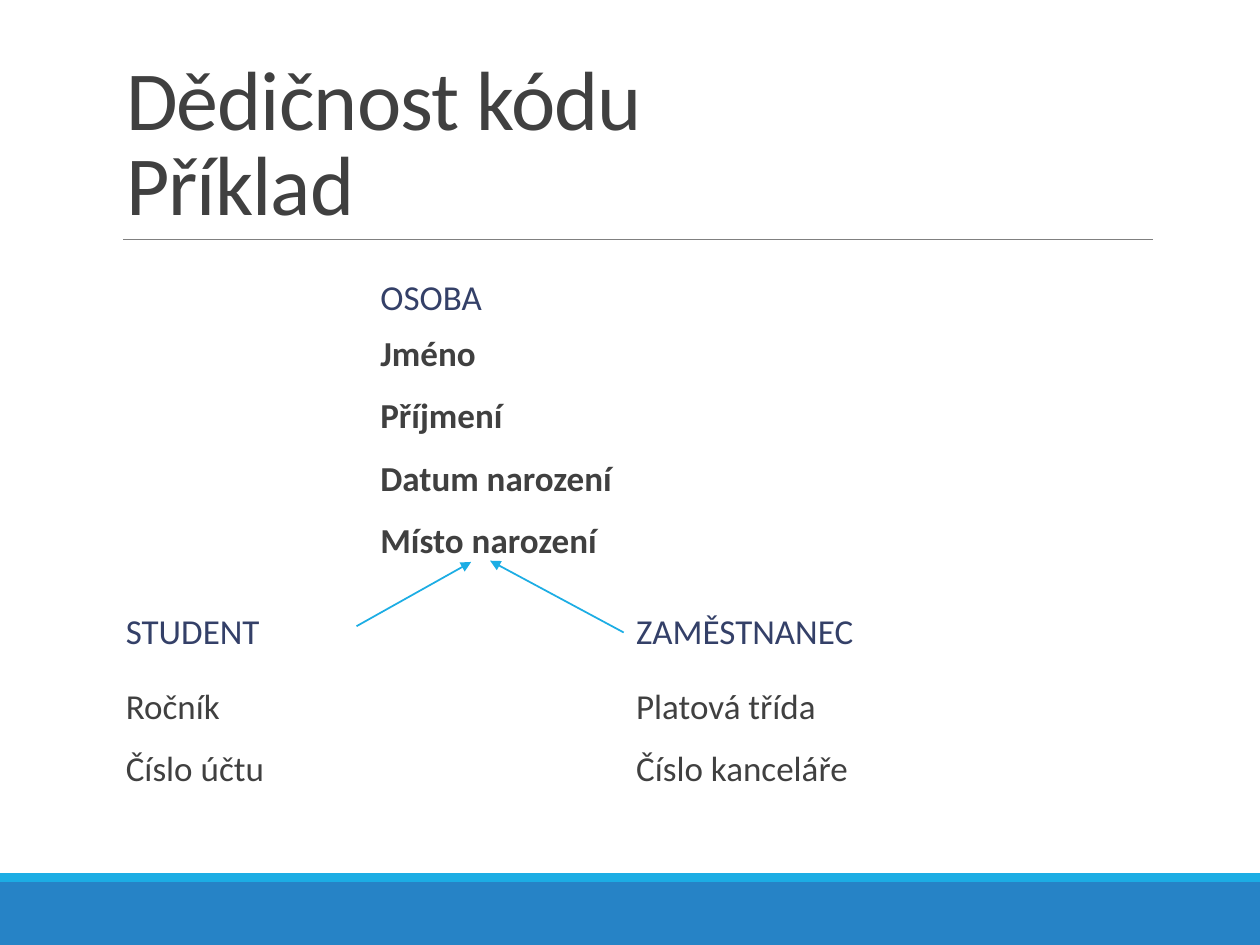
"""Build the slide on code inheritance: a person class and its two subclasses."""
from pptx import Presentation
from pptx.dml.color import RGBColor
from pptx.enum.shapes import MSO_CONNECTOR as Conn, MSO_SHAPE as Shape
from pptx.enum.text import MSO_ANCHOR as Anchor, MSO_AUTO_SIZE as Auto, PP_ALIGN as Align
from pptx.util import Inches, Pt
from lxml import etree

NS = "{http://schemas.openxmlformats.org/drawingml/2006/main}"
rgb = RGBColor.from_string


def style(para, size, color, bold=False):
    font = para.font
    font.name, font.size, font.bold = "Calibri", Pt(size), bold
    font.color.rgb = rgb(color)


def link(start, end, color, width):
    line = slide.shapes.add_connector(Conn.STRAIGHT, *map(Inches, start + end))
    line.line.color.rgb = rgb(color)
    line.line.width = Pt(width)
    etree.SubElement(line._element.spPr, NS + "effectLst")
    return line


deck = Presentation()
deck.slide_width, deck.slide_height = Inches(10), Inches(7.5)
slide = deck.slides.add_slide(deck.slide_layouts[5])

for top, height, color in [(7, 0.5, "2683C6"), (6.93, 0.07, "1CADE4")]:
    band = slide.shapes.add_shape(
        Shape.RECTANGLE, 0, Inches(top), Inches(10), Inches(height))
    band.shadow.inherit = False
    band.fill.solid()
    band.fill.fore_color.rgb = rgb(color)
    band.line.fill.background()

link((0.98, 1.9), (9.15, 1.9), "808080", 0.5)

title = slide.shapes.title
title.left, title.top = Inches(0.9), Inches(0.31)
title.width, title.height = Inches(8.25), Inches(1.59)
frame = title.text_frame
frame.text = "Dědičnost kódu\vPříklad"
frame.auto_size, frame.vertical_anchor = Auto.NONE, Anchor.BOTTOM
para = frame.paragraphs[0]
para.alignment, para.line_spacing = Align.LEFT, 0.85
style(para, 48, "404040")
para.font._element.set("spc", "-50")

groups = [
    (2.92, 1.97, 2.62, 2.18, True, "OSOBA",
     ["Jméno", "Příjmení", "Datum narození", "Místo narození"]),
    (0.9, 4.62, 5.42, 0.98, False, "STUDENT", ["Ročník", "Číslo účtu"]),
    (4.95, 4.62, 5.42, 0.95, False, "ZAMĚSTNANEC",
     ["Platová třída", "Číslo kanceláře"]),
]
for left, head, body, height, bold, name, fields in groups:
    parts = [(head, 0.81, Anchor.MIDDLE, [name], "344068", False),
             (body, height, Anchor.TOP, fields, "404040", bold)]
    for top, tall, anchor, lines, color, heavy in parts:
        box = slide.shapes.add_textbox(
            Inches(left), Inches(top), Inches(4.05), Inches(tall))
        frame = box.text_frame
        frame.word_wrap, frame.vertical_anchor = True, anchor
        frame.text = "\n".join(lines)
        for i, para in enumerate(frame.paragraphs):
            para.line_spacing = 0.9
            para.space_before, para.space_after = Pt(12 if i else 0), Pt(2)
            style(para, 20, color, heavy)

for start, end in [((2.83, 4.97), (3.74, 4.46)), ((4.95, 5.02), (3.89, 4.45))]:
    arrow = link(start, end, "1CADE4", 1)
    etree.SubElement(arrow.line._get_or_add_ln(), NS + "tailEnd", type="triangle")

deck.save("out.pptx")
